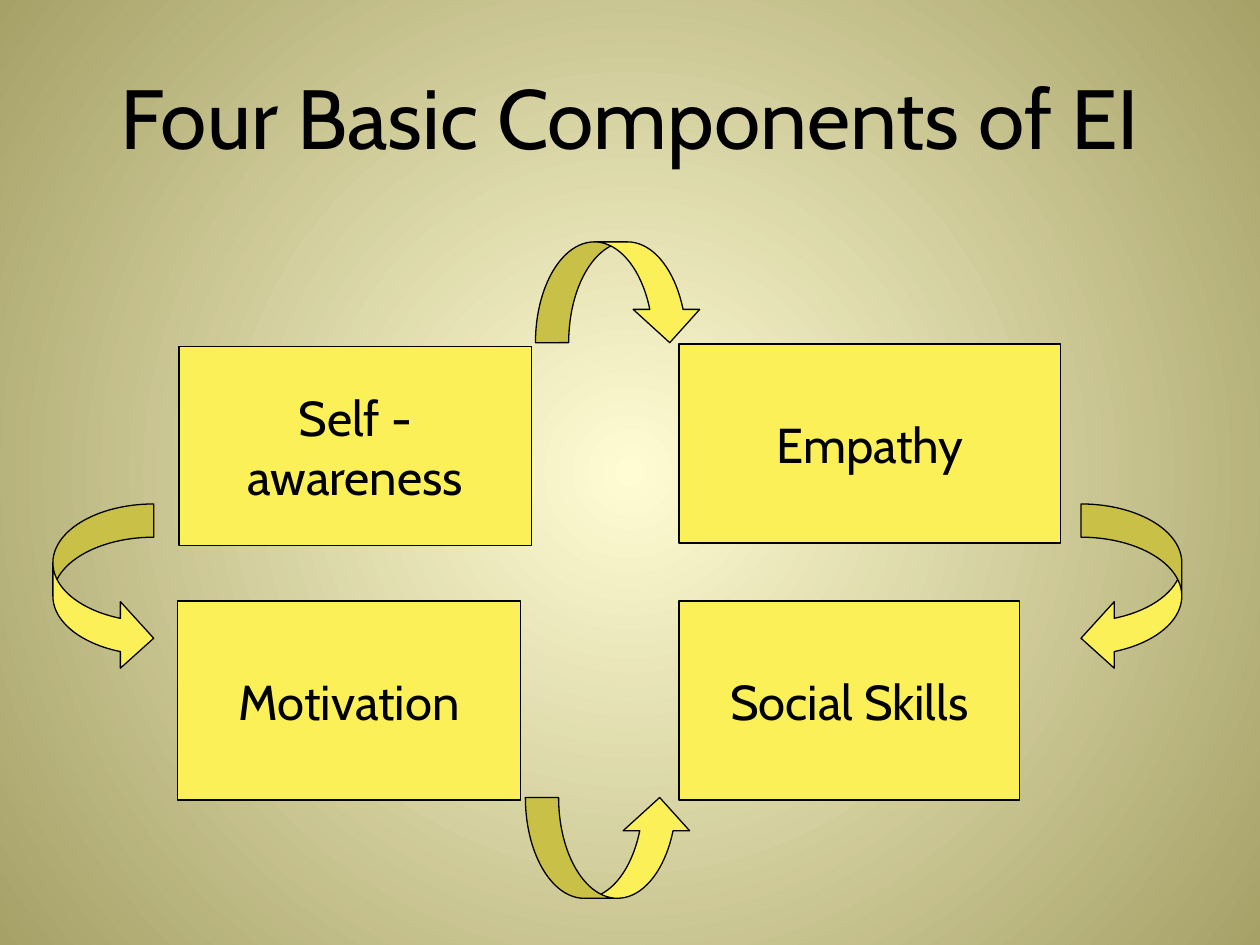
"""Build the slide on the four basic components of EI."""
from dataclasses import dataclass

import pptx
import pptx.dml.color
import pptx.enum.shapes
import pptx.enum.text
import pptx.oxml
import pptx.oxml.ns
import pptx.util
from pptx.util import Inches

SHAPE = pptx.enum.shapes.MSO_SHAPE
YELLOW, BLACK = "FCF059", "000000"
FONT = "Cabin"
ARROW_ADJUSTMENTS = (0.33, 0.66, 0.33)


@dataclass(frozen=True)
class Component:
    lines: tuple[str, ...]
    left: float
    top: float
    width: float
    height: float = 1.58


@dataclass(frozen=True)
class Arrow:
    kind: SHAPE
    left: float
    top: float
    width: float
    height: float


COMPONENTS = (
    Component(("Self -", "awareness"), 1.42, 2.75, 2.8),
    Component(("Motivation",), 1.41, 4.77, 2.72),
    Component(("Empathy",), 5.39, 2.73, 3.03),
    Component(("Social Skills",), 5.39, 4.77, 2.7),
)
ARROWS = (
    Arrow(SHAPE.CURVED_RIGHT_ARROW, 0.42, 4, 0.8, 1.33),
    Arrow(SHAPE.CURVED_LEFT_ARROW, 8.58, 4, 0.8, 1.33),
    Arrow(SHAPE.CURVED_UP_ARROW, 4.17, 6.33, 1.33, 0.8),
    Arrow(SHAPE.CURVED_DOWN_ARROW, 4.25, 1.92, 1.33, 0.8),
)


def color(value: str) -> pptx.dml.color.RGBColor:
    return pptx.dml.color.RGBColor.from_string(value)


def paint_background(slide, center: str, edge: str) -> None:
    fill = slide.background.fill
    fill.gradient()
    for stop, value in zip(fill.gradient_stops, (center, edge)):
        stop.color.rgb = color(value)
    linear = slide.element.xpath(".//p:bg//a:lin")[0]
    radial = pptx.oxml.parse_xml(
        f'<a:path {pptx.oxml.ns.nsdecls("a")} path="circle">'
        '<a:fillToRect l="50000" t="50000" r="50000" b="50000"/></a:path>'
    )
    linear.getparent().replace(linear, radial)


def write(frame, lines: tuple[str, ...], size: float) -> None:
    frame.text = "\n".join(lines)
    frame.vertical_anchor = pptx.enum.text.MSO_ANCHOR.MIDDLE
    for paragraph in frame.paragraphs:
        paragraph.alignment = pptx.enum.text.PP_ALIGN.CENTER
        paragraph.font.name = FONT
        paragraph.font.size = pptx.util.Pt(size)
        paragraph.font.color.rgb = color(BLACK)


def add_yellow_shape(slide, kind: SHAPE, part: Component | Arrow):
    shape = slide.shapes.add_shape(
        kind, Inches(part.left), Inches(part.top), Inches(part.width), Inches(part.height)
    )
    shape.shadow.inherit = False
    shape.fill.solid()
    shape.fill.fore_color.rgb = color(YELLOW)
    shape.line.color.rgb = color(BLACK)
    shape.line.width = pptx.util.Pt(0.75)
    return shape


def add_component(slide, component: Component) -> None:
    box = add_yellow_shape(slide, SHAPE.RECTANGLE, component)
    write(box.text_frame, component.lines, 28)
    box.text_frame.word_wrap = False


def add_arrow(slide, arrow: Arrow) -> None:
    shape = add_yellow_shape(slide, arrow.kind, arrow)
    for index, value in enumerate(ARROW_ADJUSTMENTS):
        shape.adjustments[index] = value


def main() -> None:
    presentation = pptx.Presentation()
    presentation.slide_width, presentation.slide_height = Inches(10), Inches(7.5)
    slide = presentation.slides.add_slide(presentation.slide_layouts[5])
    paint_background(slide, "FFFCD4", "A6A167")

    title = slide.shapes.title
    title.left, title.top = Inches(0), Inches(0.42)
    title.width, title.height = Inches(10), Inches(1)
    write(title.text_frame, ("Four Basic Components of EI",), 48)

    for component in COMPONENTS:
        add_component(slide, component)
    for arrow in ARROWS:
        add_arrow(slide, arrow)
    presentation.save("out.pptx")


if __name__ == "__main__":
    main()
